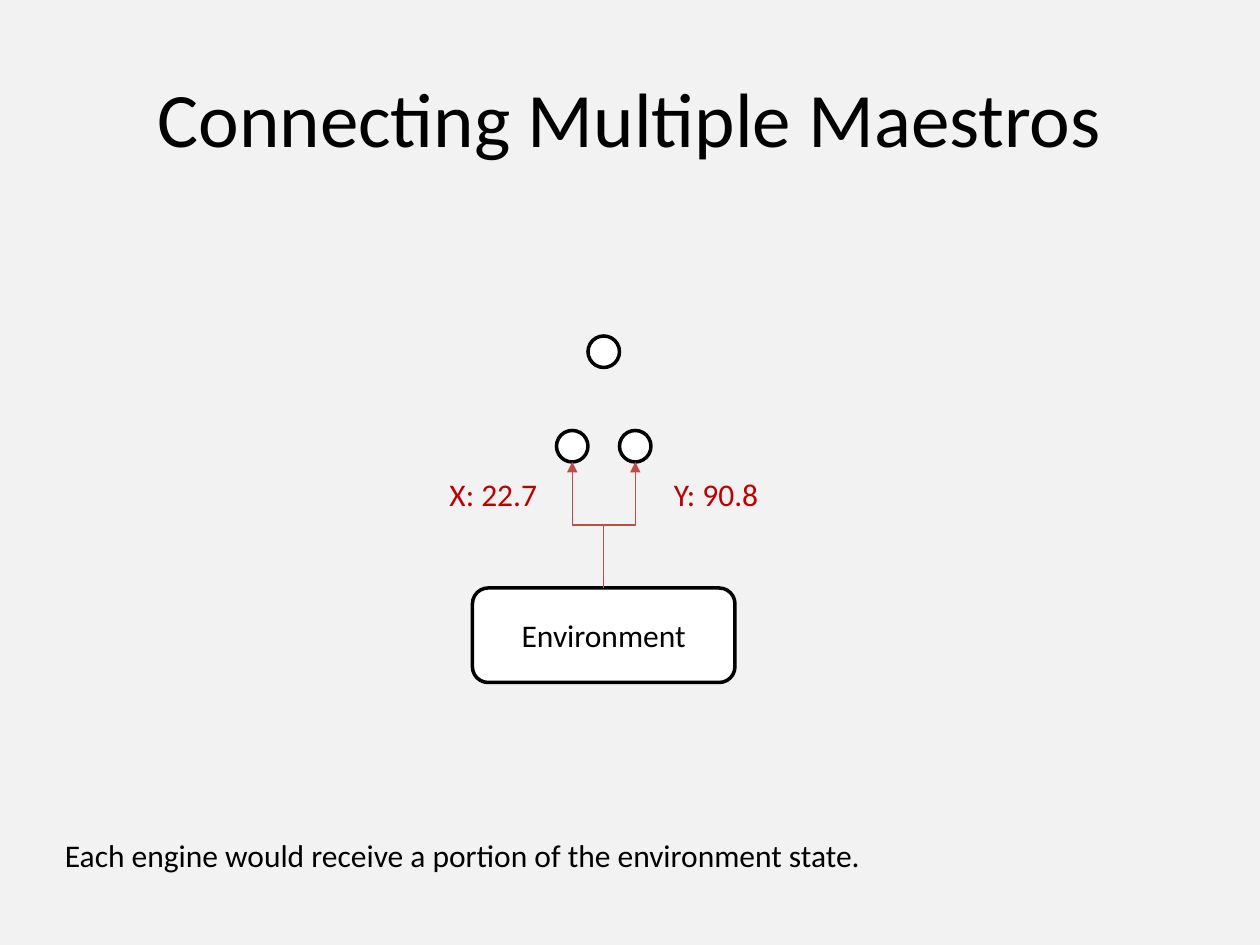
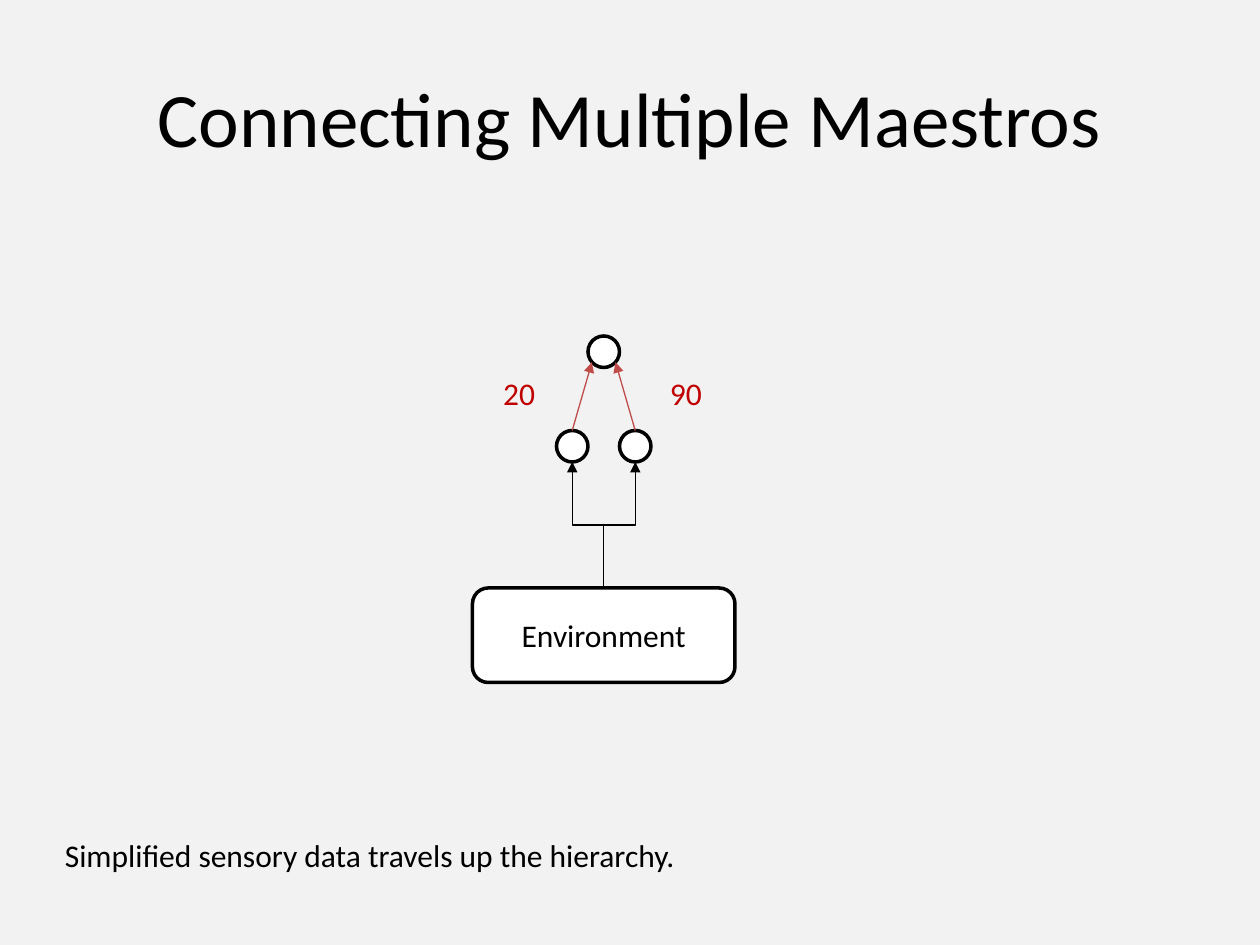
"""Build two slides on sensory data passing from an environment to linked engines."""
from dataclasses import dataclass

from lxml.etree import SubElement
from pptx import Presentation
from pptx.dml.color import RGBColor as Rgb
from pptx.enum.shapes import MSO_CONNECTOR as Connector
from pptx.enum.shapes import MSO_SHAPE as Shape
from pptx.enum.text import MSO_ANCHOR as Anchor
from pptx.enum.text import MSO_AUTO_SIZE as AutoSize
from pptx.enum.text import PP_ALIGN as Align
from pptx.oxml.ns import qn
from pptx.util import Pt

PX = 9525
NODE = 24
AXIS = 460
NODE_OFFSET = 24
ROOT_TOP, LEAF_TOP, ENVIRONMENT_TOP = 256, 328, 448
CONTACT_OFFSET = 9
CONTACT_TOP = 276


@dataclass(frozen=True)
class Theme:
    """Colours, font, type sizes and line widths of the deck."""

    font: str = "Calibri"
    background: Rgb = Rgb(0xF2, 0xF2, 0xF2)
    ink: Rgb = Rgb(0, 0, 0)
    paper: Rgb = Rgb(0xFF, 0xFF, 0xFF)
    signal: Rgb = Rgb(0xBF, 0x4C, 0x48)
    value: Rgb = Rgb(0xC0, 0, 0)
    title_size: int = 44
    body_size: int = 18
    outline: float = 2
    arrow: float = 0.75


class Painter:
    """Draws styled elements on the current slide."""

    def __init__(self, theme):
        """Start a 960 by 720 px deck."""
        self.theme = theme
        self.deck = Presentation()
        self.deck.slide_width, self.deck.slide_height = 960 * PX, 720 * PX
        self.page = None

    def new_page(self, title, caption):
        """Add a slide with its title and bottom caption."""
        self.page = self.deck.slides.add_slide(self.deck.slide_layouts[6])
        fill = self.page.background.fill
        fill.solid()
        fill.fore_color.rgb = self.theme.background
        self.text(title, 48, 29, 864, 120, size=self.theme.title_size,
                  align=Align.CENTER, anchor=Anchor.MIDDLE)
        self.text(caption, 40, 632, 872, 38)

    def set_words(self, frame, words, size, color, align):
        """Set and format the words of a text frame."""
        frame.text = words
        para = frame.paragraphs[0]
        para.alignment = align
        for span in para.runs:
            span.font.name = self.theme.font
            span.font.size = Pt(size)
            span.font.color.rgb = color

    def text(self, words, left, top, width, height, size=None, color=None,
             align=Align.LEFT, anchor=Anchor.TOP, wrap=True):
        """Add a text box."""
        box = self.page.shapes.add_textbox(left * PX, top * PX, width * PX, height * PX)
        frame = box.text_frame
        frame.word_wrap = wrap
        frame.vertical_anchor = anchor
        frame.auto_size = AutoSize.NONE if wrap else AutoSize.SHAPE_TO_FIT_TEXT
        self.set_words(frame, words, size or self.theme.body_size,
                       color or self.theme.ink, align)

    def label(self, words, left, top, width):
        """Add a one-line signal value."""
        self.text(words, left, top, width, 38, color=self.theme.value, wrap=False)

    def shape(self, kind, left, top, width, height, words=""):
        """Add an outlined shape with optional centred words."""
        box = self.page.shapes.add_shape(kind, left * PX, top * PX, width * PX, height * PX)
        box.shadow.inherit = False
        box.fill.solid()
        box.fill.fore_color.rgb = self.theme.paper
        box.line.color.rgb = self.theme.ink
        box.line.width = Pt(self.theme.outline)
        if words:
            box.text_frame.vertical_anchor = Anchor.MIDDLE
            self.set_words(box.text_frame, words, self.theme.body_size,
                           self.theme.ink, Align.CENTER)

    def node(self, center, top):
        """Add an engine circle."""
        self.shape(Shape.OVAL, center - NODE // 2, top, NODE, NODE)

    def arrow(self, start, end, color, kind=Connector.STRAIGHT):
        """Add an arrow between two points."""
        line = self.page.shapes.add_connector(kind, *(n * PX for n in (*start, *end)))
        line.line.color.rgb = color
        line.line.width = Pt(self.theme.arrow)
        properties = line._element.spPr
        SubElement(properties.find(qn("a:ln")), qn("a:tailEnd"), type="triangle")
        SubElement(properties, qn("a:effectLst"))
        return line

    def riser(self, start, end, color):
        """Add an upward elbow arrow, as a sideways elbow given a quarter turn."""
        middle_x, middle_y = (start[0] + end[0]) // 2, (start[1] + end[1]) // 2
        half_run, half_rise = (start[1] - end[1]) // 2, abs(end[0] - start[0]) // 2
        to_right = end[0] > start[0]
        side = 1 if to_right else -1
        line = self.arrow((middle_x + side * half_run, middle_y + half_rise),
                          (middle_x - side * half_run, middle_y - half_rise),
                          color, Connector.ELBOW)
        quarter_turns = 1 if to_right else 3
        line._element.spPr.find(qn("a:xfrm")).set("rot", str(quarter_turns * 5400000))

    def hierarchy(self, riser_color):
        """Draw the three engines above the environment that feeds them."""
        self.node(AXIS, ROOT_TOP)
        self.shape(Shape.ROUNDED_RECTANGLE, AXIS - 100, ENVIRONMENT_TOP, 200, 72, "Environment")
        for side in (-1, 1):
            leaf = AXIS + side * NODE_OFFSET
            self.node(leaf, LEAF_TOP)
            self.riser((AXIS, ENVIRONMENT_TOP), (leaf, LEAF_TOP + NODE), riser_color)


def main():
    """Build and save the deck."""
    theme = Theme()
    painter = Painter(theme)
    title = "Connecting Multiple Maestros"

    painter.new_page(title, "Each engine would receive a portion of the environment state.")
    painter.hierarchy(theme.signal)
    painter.label("X: 22.7", 333, 357, 87)
    painter.label("Y: 90.8", 504, 357, 84)

    painter.new_page(title, "Simplified sensory data travels up the hierarchy.")
    painter.hierarchy(theme.ink)
    for side in (-1, 1):
        painter.arrow((AXIS + side * NODE_OFFSET, LEAF_TOP),
                      (AXIS + side * CONTACT_OFFSET, CONTACT_TOP), theme.signal)
    painter.label("20", 374, 280, 44)
    painter.label("90", 501, 280, 44)

    painter.deck.save("out.pptx")


if __name__ == "__main__":
    main()
